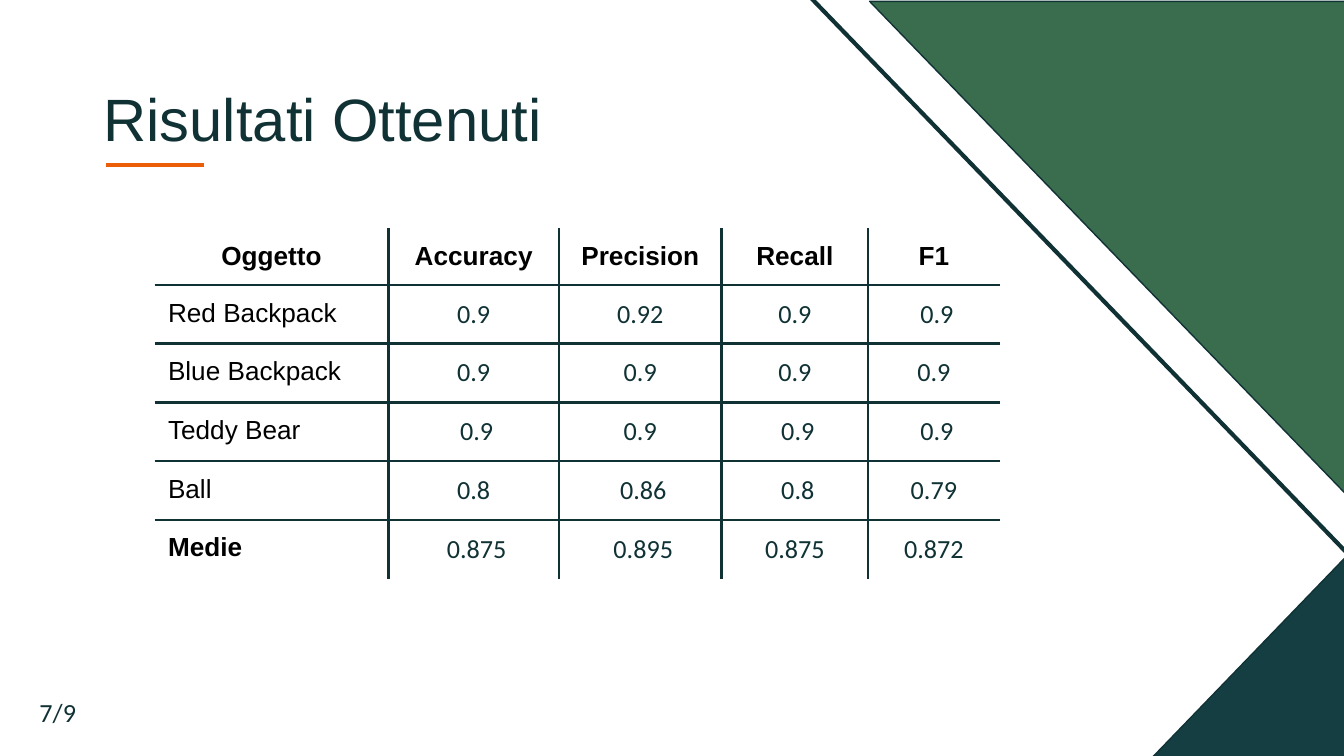
from lxml.etree import SubElement
from pptx import Presentation
from pptx.dml.color import RGBColor
from pptx.enum.shapes import MSO_CONNECTOR, MSO_SHAPE
from pptx.enum.text import MSO_ANCHOR, MSO_AUTO_SIZE, PP_ALIGN
from pptx.oxml.ns import qn
from pptx.util import Inches, Pt

INK = RGBColor(0x10, 0x32, 0x35)
GREEN = RGBColor(0x39, 0x6D, 0x4D)
TEAL = RGBColor(0x14, 0x3E, 0x42)
ORANGE = RGBColor(0xEB, 0x5D, 0x06)
BLACK = RGBColor(0, 0, 0)

COLS = [1.74, 1.27, 1.21, 1.09, 0.98]
ROWS = [
    ("Oggetto", "Accuracy", "Precision", "Recall", "F1"),
    ("Red Backpack", " 0.9 ", "0.92", "0.9", " 0.9"),
    ("Blue Backpack", "0.9", "0.9", "0.9", "0.9"),
    ("Teddy Bear", " 0.9", "0.9", " 0.9", " 0.9"),
    ("Ball", "0.8", " 0.86", " 0.8", "0.79"),
    ("Medie", " 0.875", " 0.895", "0.875", "0.872"),
]
HEAD, BODY = 0.42, 0.43


def set_text(frame, text, size, face, color, bold=False, align=PP_ALIGN.LEFT):
    frame.text = text
    par = frame.paragraphs[0]
    par.alignment = align
    font = par.font
    font.size, font.name, font.bold = Pt(size), face, bold
    font.color.rgb = color


def set_pad(item):
    item.margin_left = item.margin_right = Inches(0.1)
    item.margin_top = item.margin_bottom = Inches(0.1)


def add_line(shapes, start, end, color):
    line = shapes.add_connector(
        MSO_CONNECTOR.STRAIGHT, *map(Inches, start), *map(Inches, end))
    line.line.color.rgb = color
    line.line.width = Pt(2.25)
    SubElement(line._element.spPr, qn("a:effectLst"))


def paint(shape, color):
    shape.shadow.inherit = False
    shape.fill.solid()
    shape.fill.fore_color.rgb = color
    shape.line.color.rgb = INK
    shape.line.width = Pt(0.75)


def add_corner(slide):
    shapes = slide.shapes.add_group_shape().shapes
    pen = shapes.build_freeform(Inches(10.52), Inches(0.01))
    pen.add_line_segments([(Inches(6.47), Inches(0.01)),
                           (Inches(10.52), Inches(4.2))])
    paint(pen.convert_to_shape(), GREEN)
    wedge = shapes.add_shape(MSO_SHAPE.RIGHT_TRIANGLE, Inches(8.58),
                             Inches(3.62), Inches(1.94), Inches(2.01))
    wedge._element.spPr.get_or_add_xfrm().set("flipH", "1")
    paint(wedge, TEAL)
    add_line(shapes, (10.52, 4.63), (6.04, -0.01), INK)


def set_edges(cell, row, col):
    props = cell._tc.get_or_add_tcPr()
    edges = {"L": col > 0, "R": col < len(COLS) - 1,
             "T": row > 0, "B": row < len(ROWS) - 1}
    for side, drawn in edges.items():
        edge = SubElement(props, qn(f"a:ln{side}"), w=str(Pt(1.5)))
        if drawn:
            fill = SubElement(edge, qn("a:solidFill"))
            SubElement(fill, qn("a:srgbClr"), val=str(INK))
        else:
            SubElement(edge, qn("a:noFill"))


def fill_cell(cell, text, row, col):
    head, label = row == 0, col == 0
    if head or label:
        bold = head or text == "Medie"
        look = ("Arial", BLACK, bold)
    else:
        look = ("Calibri", INK, False)
        cell.vertical_anchor = MSO_ANCHOR.MIDDLE
    align = PP_ALIGN.LEFT if label and not head else PP_ALIGN.CENTER
    set_text(cell.text_frame, text, 14, *look, align)
    set_pad(cell)
    set_edges(cell, row, col)
    cell.fill.background()


def add_scores(slide):
    high = HEAD + BODY * (len(ROWS) - 1)
    table = slide.shapes.add_table(
        len(ROWS), len(COLS), Inches(1.15), Inches(1.7),
        Inches(sum(COLS)), Inches(high)).table
    table.first_row = table.horz_banding = False
    for col, width in enumerate(COLS):
        table.columns[col].width = Inches(width)
    for row, texts in enumerate(ROWS):
        table.rows[row].height = Inches(BODY if row else HEAD)
        for col, text in enumerate(texts):
            fill_cell(table.cell(row, col), text, row, col)


def add_title(slide):
    title = slide.shapes.title
    title.left, title.top = Inches(0.67), Inches(0.51)
    title.width, title.height = Inches(3.63), Inches(0.63)
    frame = title.text_frame
    set_text(frame, "Risultati Ottenuti", 32, "Arial", INK)
    set_pad(frame)
    frame.auto_size = MSO_AUTO_SIZE.NONE
    frame.vertical_anchor = MSO_ANCHOR.TOP
    add_line(slide.shapes, (0.79, 1.23), (1.52, 1.23), ORANGE)


def add_page(slide):
    box = slide.shapes.add_textbox(
        Inches(0.15), Inches(5.08), Inches(0.56), Inches(0.41))
    frame = box.text_frame
    frame.word_wrap = True
    set_pad(frame)
    set_text(frame, "7/9", 14, "Calibri", INK, align=PP_ALIGN.CENTER)


def main():
    deck = Presentation()
    deck.slide_width = Inches(10)
    deck.slide_height = deck.slide_width * 9 // 16
    slide = deck.slides.add_slide(deck.slide_layouts[5])
    add_corner(slide)
    add_scores(slide)
    add_title(slide)
    add_page(slide)
    deck.save("out.pptx")


if __name__ == "__main__":
    main()
